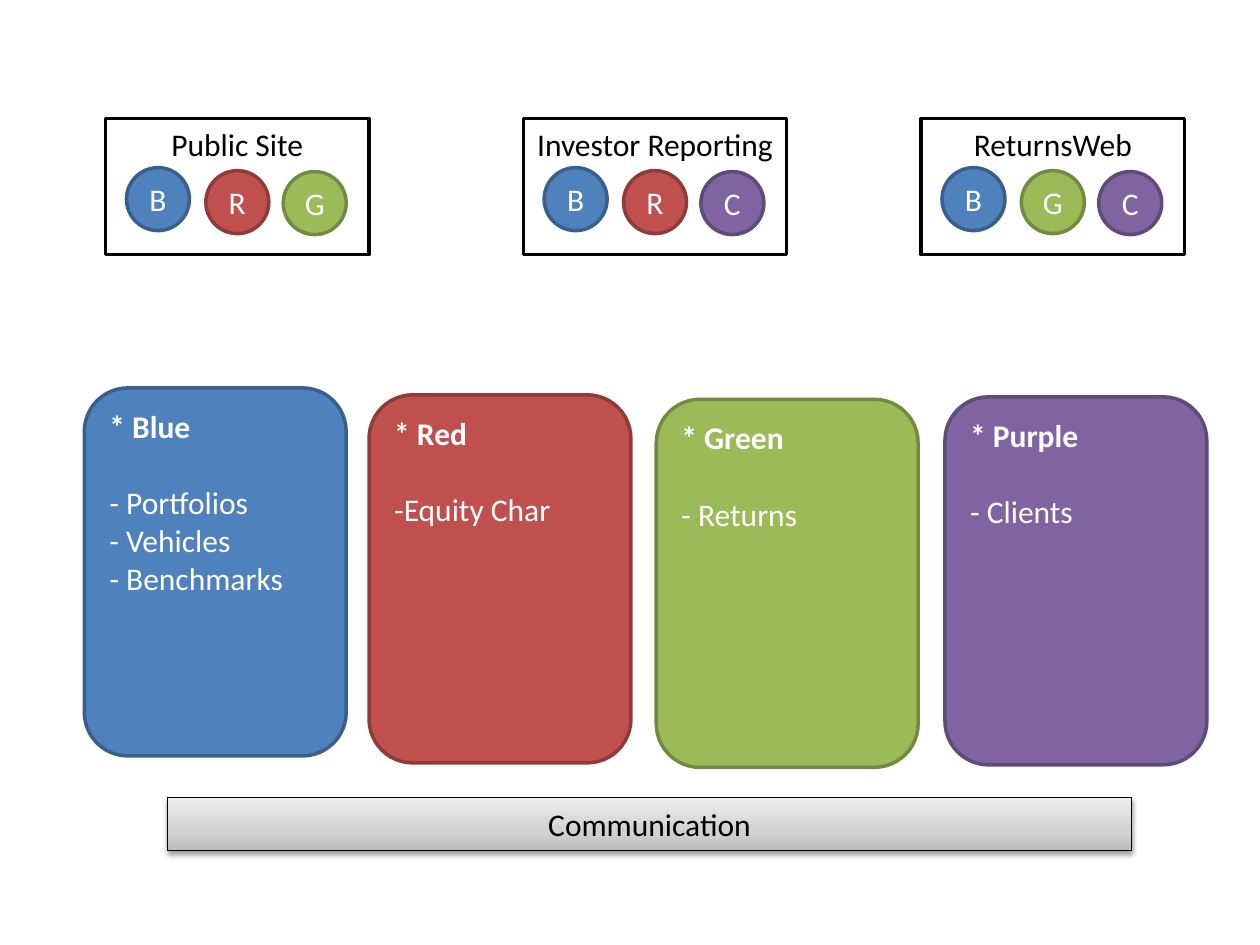
"""Build a slide of three sites, the four services they draw on and the bar that links them."""
import copy

import lxml.etree
import pptx
import pptx.dml.color
import pptx.enum.shapes
import pptx.enum.text
import pptx.oxml.ns
import pptx.util

Cm, Pt = pptx.util.Cm, pptx.util.Pt
KIND = pptx.enum.shapes.MSO_SHAPE
ALIGN = pptx.enum.text.PP_ALIGN
ANCHOR = pptx.enum.text.MSO_ANCHOR
qn = pptx.oxml.ns.qn

HUES = {
    "white": "FFFFFF", "black": "000000",
    "B": "4F81BD", "B edge": "3A5F8C",
    "R": "C0504D", "R edge": "8E3B39",
    "G": "9BBB59", "G edge": "738A42",
    "C": "8064A2", "C edge": "5F4A78",
}
SHADES = [(0, "BDBDBD"), (0.35, "D1D1D1"), (1, "EEEEEE")]
CARDS = [
    ("B", 1.7, 7.82, "* Blue", ["- Portfolios", "- Vehicles", "- Benchmarks"]),
    ("R", 7.44, 7.96, "* Red", ["-Equity Char"]),
    ("G", 13.23, 8.05, "* Green", ["- Returns"]),
    ("C", 19.05, 8, "* Purple", ["- Clients"]),
]
SITES = [
    (2.13, "Public Site", "BRG"),
    (10.55, "Investor Reporting", "BRC"),
    (18.57, "ReturnsWeb", "BGC"),
]
DOTS = [(0.42, 0.99), (2.02, 1.05), (3.58, 1.07)]


def tint(name):
    return pptx.dml.color.RGBColor.from_string(HUES.get(name, name))


class Deck:
    """Hold the text style and the current slide."""

    def __init__(self, deck, font="Calibri", size=18):
        self.font, self.size = font, Pt(size)
        self.slide = deck.slides.add_slide(deck.slide_layouts[6])

    def shape(self, kind, box, fill, edge, width=2):
        shape = self.slide.shapes.add_shape(kind, *map(Cm, box))
        shape.shadow.inherit = False
        shape.fill.solid()
        shape.fill.fore_color.rgb = tint(fill)
        shape.line.color.rgb = tint(edge)
        shape.line.width = Pt(width)
        return shape

    def text(self, shape, lines, hue, align=ALIGN.CENTER, anchor=ANCHOR.MIDDLE):
        frame = shape.text_frame
        frame.word_wrap = True
        frame.vertical_anchor = anchor
        frame.text = "\n".join(lines)
        for para in frame.paragraphs:
            para.alignment = align
            para.font.name, para.font.size = self.font, self.size
            para.font.color.rgb = tint(hue)
        return frame

    def card(self, key, left, top, head, items):
        shape = self.shape(KIND.ROUNDED_RECTANGLE, (left, top, 5.28, 7.42), key, key + " edge")
        frame = self.text(shape, [head, *items], "white", ALIGN.LEFT, ANCHOR.TOP)
        first = frame.paragraphs[0]
        first.font.bold = True
        first.space_after = Pt(22)

    def dot(self, key, left, top):
        shape = self.shape(KIND.OVAL, (left, top, 1.27, 1.27), key, key + " edge")
        self.text(shape, [key], "white")

    def site(self, left, name, keys, top=2.39):
        shape = self.shape(KIND.RECTANGLE, (left, top, 5.31, 2.74), "white", "black")
        frame = self.text(shape, [name], "black", anchor=ANCHOR.TOP)
        frame.margin_left = frame.margin_right = Cm(0.2)
        for key, (across, down) in zip(keys, DOTS):
            self.dot(key, left + across, top + down)

    def bar(self, box, name):
        shape = self.shape(KIND.RECTANGLE, box, "white", "black", 0.75)
        self.text(shape, [name], "black")
        self.shade(shape)
        self.drop(shape)

    def shade(self, shape):
        fill = shape.fill
        fill.gradient()
        fill.gradient_angle = 90
        stops = next(shape.element.spPr.iter(qn("a:gsLst")))
        stops.append(copy.deepcopy(stops[0]))
        for stop, (place, hue) in zip(fill.gradient_stops, SHADES):
            stop.position = place
            stop.color.rgb = tint(hue)

    def drop(self, shape):
        effects = shape.element.spPr.find(qn("a:effectLst"))
        drop = lxml.etree.SubElement(
            effects, qn("a:outerShdw"), blurRad=str(Pt(3.1)), dist=str(Pt(1.6)),
            dir="5400000", rotWithShape="0")
        hue = lxml.etree.SubElement(drop, qn("a:srgbClr"), val=HUES["black"])
        lxml.etree.SubElement(hue, qn("a:alpha"), val="38000")


def main():
    deck = pptx.Presentation()
    deck.slide_width, deck.slide_height = Cm(25.4), Cm(19.05)
    page = Deck(deck)
    for card in CARDS:
        page.card(*card)
    for site in SITES:
        page.site(*site)
    page.bar((3.38, 16.08, 19.43, 1.07), "Communication")
    deck.save("out.pptx")


if __name__ == "__main__":
    main()
